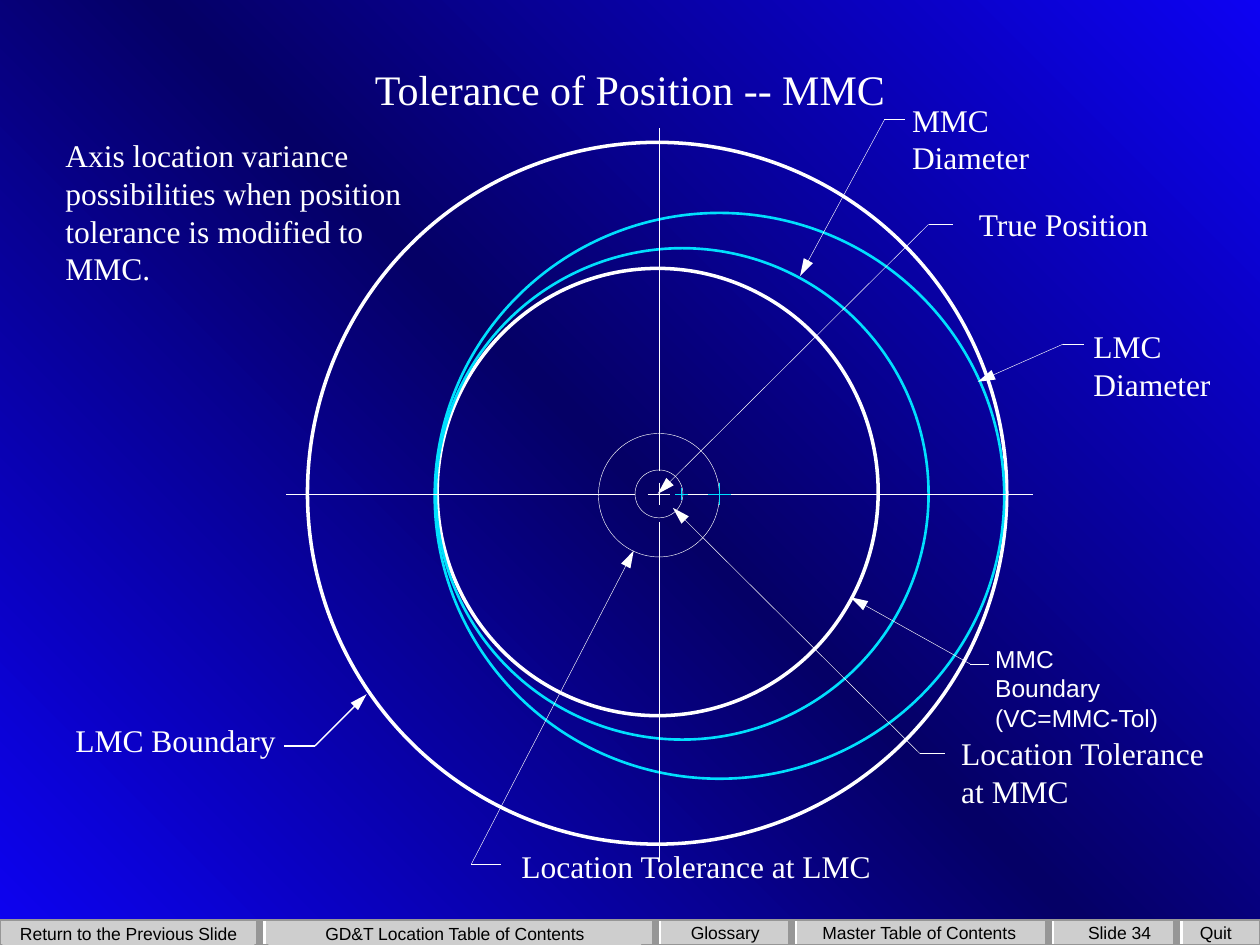
from copy import deepcopy

from lxml.etree import SubElement
from pptx import Presentation
from pptx.dml.color import RGBColor
from pptx.enum.shapes import MSO_CONNECTOR, MSO_SHAPE
from pptx.enum.text import MSO_ANCHOR, PP_ALIGN
from pptx.oxml.ns import qn
from pptx.util import Pt

PX = 9144
WHITE, CYAN, BLACK = "FFFFFF", "01DFFD", "000000"
SILVER, GRAY = "CECECE", "969696"
BLUE, NAVY = "0D02F2", "050066"
SERIF, SANS = "Times New Roman", "Arial"


def px(*lengths):
    return [length * PX for length in lengths]


def color(value):
    return RGBColor.from_string(value)


def paint_background(slide):
    fill = slide.background.fill
    fill.gradient()
    fill.gradient_angle = 225
    stop_list = next(slide.element.iter(qn("a:gsLst")))
    stop_list.insert(1, deepcopy(stop_list[0]))
    for stop, position, value in zip(fill.gradient_stops, (0, 0.5, 1), (BLUE, NAVY, BLUE)):
        stop.position = position
        stop.color.rgb = color(value)


def add_line(slide, start, end, line_color=WHITE, weight=0.25, arrow=False):
    line = slide.shapes.add_connector(MSO_CONNECTOR.STRAIGHT, *px(*start, *end))
    line.line.color.rgb = color(line_color)
    line.line.width = Pt(weight)
    if arrow:
        SubElement(line.line._get_or_add_ln(), qn("a:tailEnd"), type="triangle", w="med", len="lg")
    SubElement(line._element.spPr, qn("a:effectLst"))


def add_preset(slide, kind, box, fill=None, line_color=None, weight=1):
    shape = slide.shapes.add_shape(kind, *px(*box))
    shape.shadow.inherit = False
    if fill:
        shape.fill.solid()
        shape.fill.fore_color.rgb = color(fill)
    else:
        shape.fill.background()
    if line_color:
        shape.line.color.rgb = color(line_color)
        shape.line.width = Pt(weight)
    else:
        shape.line.fill.background()
    return shape


def write_text(shape, text, size, font=SERIF, text_color=WHITE, align=PP_ALIGN.LEFT,
               anchor=MSO_ANCHOR.TOP, wrap=False):
    frame = shape.text_frame
    frame.word_wrap = wrap
    frame.vertical_anchor = anchor
    frame.text = text
    for paragraph in frame.paragraphs:
        paragraph.alignment = align
        paragraph.font.name = font
        paragraph.font.size = Pt(size)
        paragraph.font.color.rgb = color(text_color)


def add_heading(slide, box):
    title = slide.shapes.add_textbox(*px(*box))
    write_text(title, "Tolerance of Position -- MMC", 24, align=PP_ALIGN.CENTER,
               anchor=MSO_ANCHOR.MIDDLE, wrap=True)


def add_description(slide, box):
    description = slide.shapes.add_textbox(*px(*box))
    write_text(description, "Axis location variance possibilities when position "
               "tolerance is modified to MMC.", 18, wrap=True)


def add_diagram(slide, box):
    left, top = box[:2]

    def place(x, y):
        return left + x, top + y

    circles = [
        (194, 38, 555, 557, WHITE, 2),
        (297, 138, 350, 355, WHITE, 2),
        (425, 269, 96, 98, WHITE, 0.25),
        (454, 298, 38, 38, WHITE, 0.25),
        (295, 94, 452, 449, CYAN, 1.5),
        (296, 122, 391, 390, CYAN, 1.5),
    ]
    for x, y, width, height, line_color, weight in circles:
        add_preset(slide, MSO_SHAPE.OVAL, (*place(x, y), width, height),
                   line_color=line_color, weight=weight)

    center_x, center_y = 473, 317
    for near, far in ((299, 27), (339, 609)):
        add_line(slide, place(center_x, near), place(center_x, far))
    for near, far in ((494, 770), (454, 177)):
        add_line(slide, place(near, center_y), place(far, center_y))

    for x, reach, line_color in ((center_x, 9, WHITE), (491, 5, CYAN), (521, 9, CYAN)):
        add_line(slide, place(x, center_y - reach), place(x, center_y + reach), line_color)
        add_line(slide, place(x - reach, center_y), place(x + reach, center_y), line_color)

    callouts = [
        ("MMC Diameter", (664, 0, 180, 40), (585, 144), (652, 20), 668, SERIF, 18, 0.25),
        ("True Position", (717, 83, 155, 40), (472, 317), (687, 103), 706, SERIF, 18, 0.25),
        ("LMC\nDiameter", (808, 180, 113, 70), (726, 228), (794, 198), 810, SERIF, 18, 0.25),
        ("MMC Boundary\n(VC=MMC-Tol)", (730, 431, 155, 56), (625, 399), (720, 452), 735,
         SANS, 14, 0.25),
        ("Location Tolerance\nat MMC", (703, 503, 221, 70), (484, 328), (680, 523), 700,
         SERIF, 18, 0.25),
        ("Location Tolerance at LMC", (354, 592, 300, 40), (453, 362), (324, 611), 348,
         SERIF, 18, 0.25),
        ("LMC Boundary", (0, 492, 179, 40), (241, 476), (200, 517), 175, SERIF, 18, 0.75),
    ]
    for text, (x, y, width, height), tip, elbow, end_x, font, size, weight in callouts:
        label = slide.shapes.add_textbox(*px(*place(x, y), width, height))
        write_text(label, text, size, font)
        add_line(slide, place(*elbow), place(*tip), weight=weight, arrow=True)
        add_line(slide, place(*elbow), place(end_x, elbow[1]), weight=weight)


def add_navigation(slide, box):
    left, top, _, height = box
    add_preset(slide, MSO_SHAPE.RECTANGLE, box, SILVER, GRAY, 1.25)
    buttons = [
        ("Return to the Previous Slide", 2, 2, 200, 18, SILVER),
        ("GD&T Location Table of Contents", 213, 1, 296, 19, SILVER),
        ("Glossary", 526, 1, 99, 18, SILVER),
        ("Master Table of Contents", 647, 1, 165, 18, SILVER),
        ("Slide 34", 851, 1, 75, 18, None),
        ("Quit", 940, 1, 50, 18, None),
    ]
    for text, x, y, button_width, button_height, fill in buttons:
        button = add_preset(slide, MSO_SHAPE.RECTANGLE,
                            (left + x, top + y, button_width, button_height), fill)
        write_text(button, text, 10, SANS, BLACK, PP_ALIGN.CENTER, MSO_ANCHOR.MIDDLE)
    for x in (206, 520, 628, 832, 934):
        for offset, line_color in ((2, WHITE), (0, GRAY)):
            line_x = left + x + offset
            add_line(slide, (line_x, top + height - 1), (line_x, top + 1), line_color, 4)


def main():
    presentation = Presentation()
    presentation.slide_width, presentation.slide_height = px(1000, 750)
    slide = presentation.slides.add_slide(presentation.slide_layouts[6])
    paint_background(slide)
    add_navigation(slide, (0, 730, 1000, 20))
    add_diagram(slide, (50, 75, 924, 632))
    add_description(slide, (42, 103, 308, 142))
    add_heading(slide, (75, 8, 850, 125))
    presentation.save("out.pptx")


if __name__ == "__main__":
    main()
